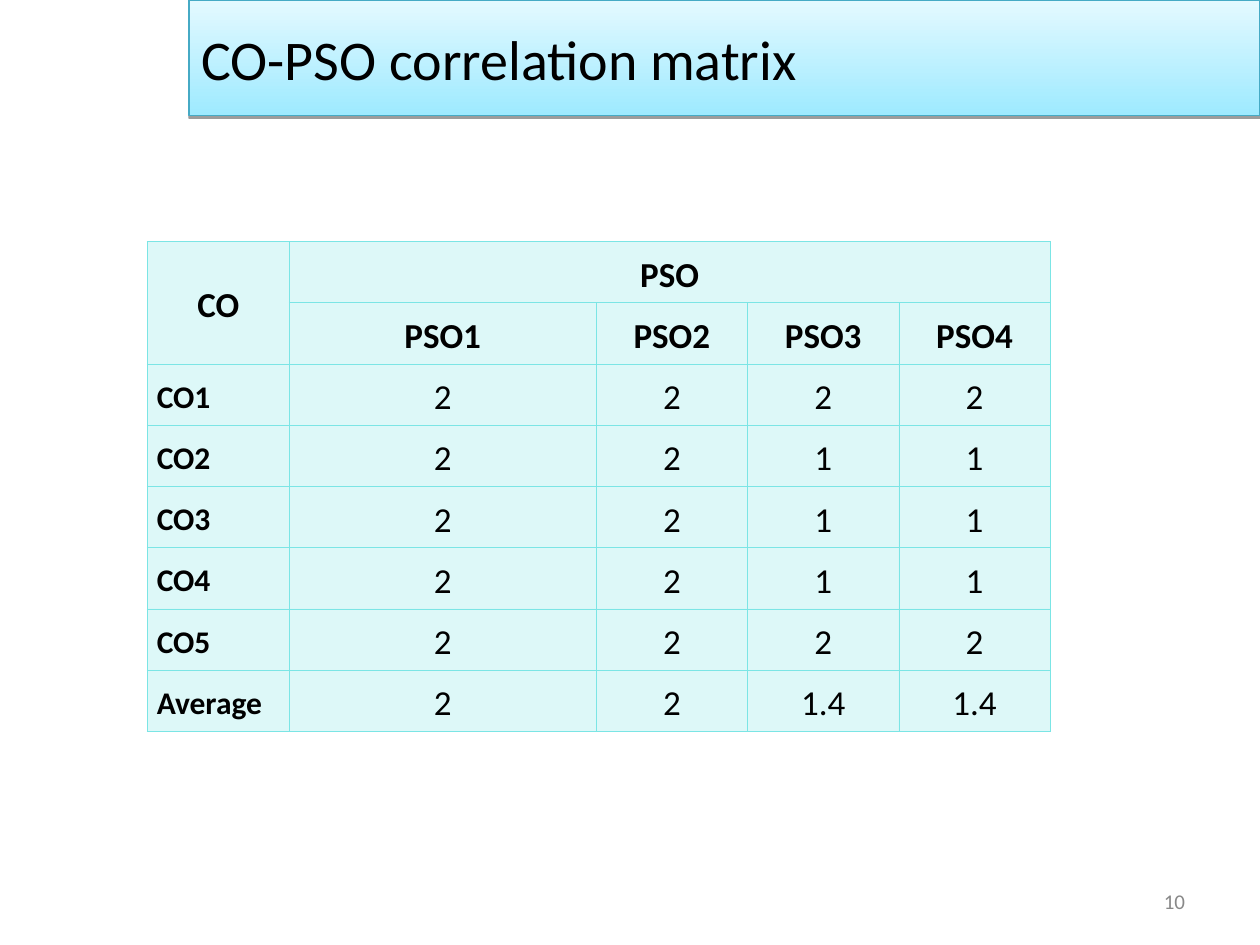
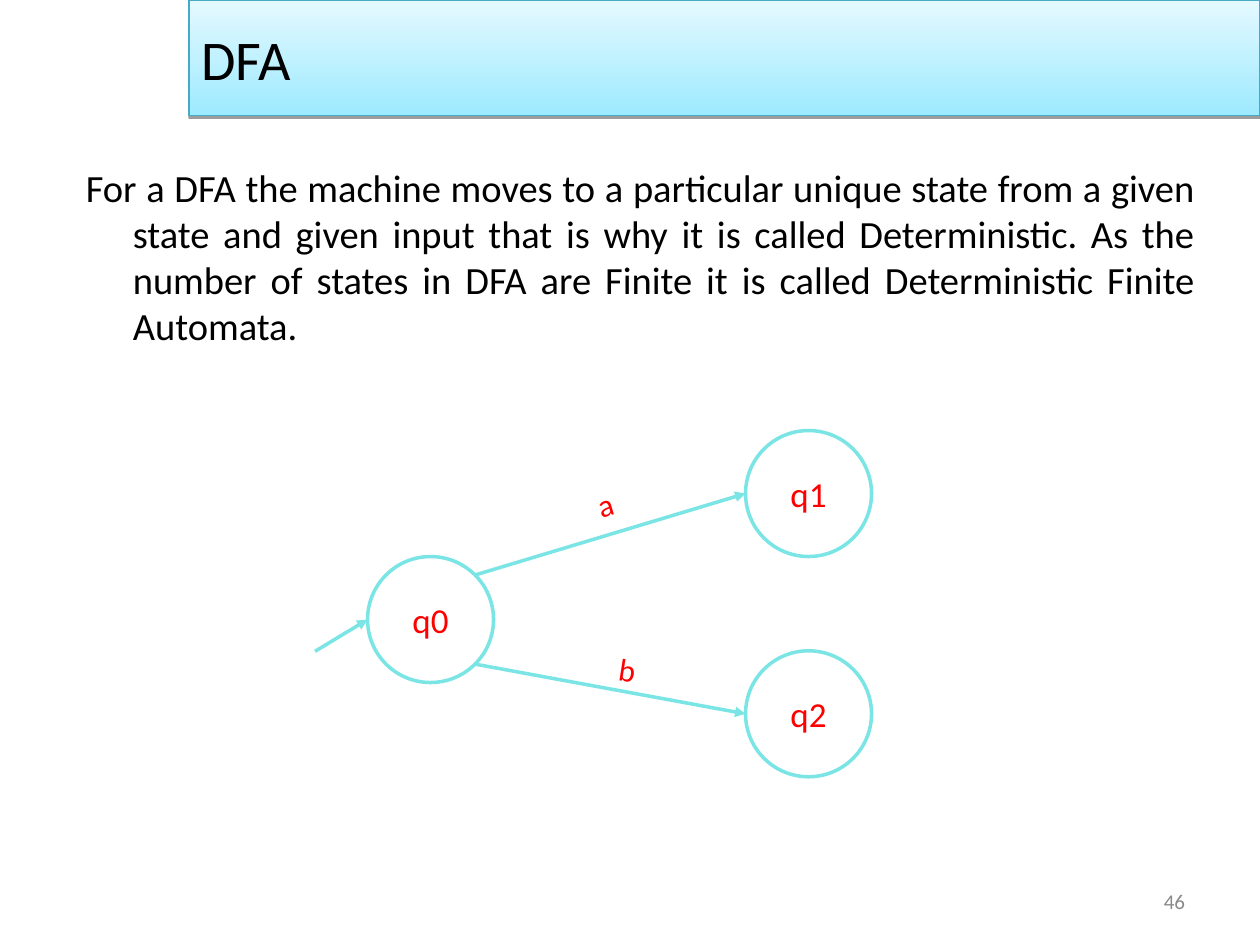
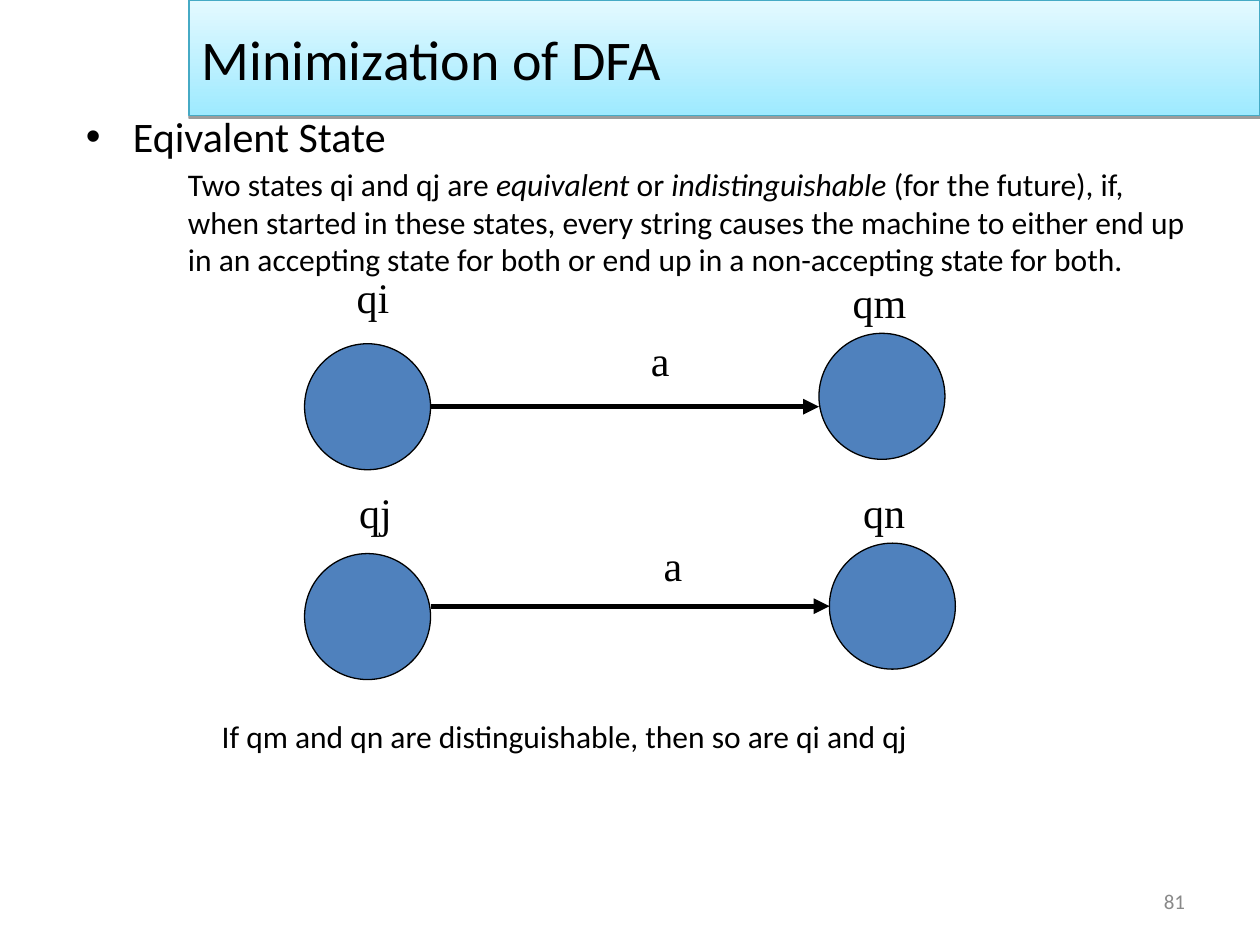
from dataclasses import dataclass
from math import sqrt

from lxml.etree import SubElement
from pptx import Presentation
from pptx.dml.color import RGBColor
from pptx.enum.shapes import MSO_CONNECTOR as Link, MSO_SHAPE as Preset
from pptx.enum.text import MSO_ANCHOR as Anchor, MSO_AUTO_SIZE as Fit, PP_ALIGN as Align
from pptx.oxml.ns import qn
from pptx.util import Cm, Pt


@dataclass(frozen=True)
class Theme:
    sans: str = "Calibri"
    serif: str = "Times New Roman"
    ink: str = "000000"
    muted: str = "898989"
    red: str = "FF0000"
    aqua: str = "7BE5E5"
    blue: str = "4F81BD"
    band_edge: str = "46AAC5"
    band_low: str = "9EEAFF"
    band_high: str = "E4F9FF"
    title: int = 32
    heading: int = 24
    body: int = 22
    cell: int = 20
    note: int = 18
    number: int = 12


THEME = Theme()
STATE_SIZE = 2.54
RADIUS = STATE_SIZE / 2


def add_xml(parent, tag, **attributes):
    return SubElement(parent, qn(tag), {key: str(value) for key, value in attributes.items()})


def write(frame, text, size=THEME.note, color=THEME.ink, font=THEME.sans, align=Align.LEFT,
          bold=False, spacing=None, hanging=0, bullet=None):
    para = frame.paragraphs[0]
    if hanging:
        layout = para._p.get_or_add_pPr()
        layout.set("marL", str(Cm(hanging)))
        layout.set("indent", str(-Cm(hanging)))
        if bullet:
            add_xml(add_xml(layout, "a:buClr"), "a:srgbClr", val=color)
            add_xml(layout, "a:buFont", typeface="Arial")
            add_xml(layout, "a:buChar", char=bullet)
    para.alignment = align
    if spacing:
        para.line_spacing = spacing
    spans = [(text, False)] if isinstance(text, str) else text
    for words, italic in spans:
        span = para.add_run()
        span.text = words
        span.font.name = font
        span.font.size = Pt(size)
        span.font.bold = bold
        span.font.italic = italic
        span.font.color.rgb = RGBColor.from_string(color)


class DeckBuilder:
    def __init__(self, theme):
        self.theme = theme
        self.deck = Presentation()
        self.deck.slide_width = Cm(25.4)
        self.deck.slide_height = Cm(19.05)
        self.page = None

    def new_page(self, title, number):
        self.page = self.deck.slides.add_slide(self.deck.slide_layouts[6])
        self.text(18.21, 17.65, 5.93, 1.02, str(number), anchor=Anchor.MIDDLE,
                  size=self.theme.number, color=self.theme.muted, align=Align.RIGHT)
        self.title_band(title)

    def title_band(self, title):
        band = self.shape(Preset.RECTANGLE, 3.81, 0, 21.59, 2.33, self.theme.band_edge, 0.75)
        band.fill.gradient()
        band.fill.gradient_angle = 90
        for stop, color in zip(band.fill.gradient_stops, (self.theme.band_low, self.theme.band_high)):
            stop.color.rgb = RGBColor.from_string(color)
        effects = band._element.spPr.find(qn("a:effectLst"))
        shadow = add_xml(effects, "a:outerShdw", blurRad=0, dist=Pt(1.6), dir=5400000, rotWithShape=0)
        add_xml(add_xml(shadow, "a:srgbClr", val=self.theme.ink), "a:alpha", val=38000)
        write(band.text_frame, title, size=self.theme.title)

    def shape(self, preset, left, top, width, height, edge, weight):
        shape = self.page.shapes.add_shape(preset, Cm(left), Cm(top), Cm(width), Cm(height))
        shape.shadow.inherit = False
        shape.fill.background()
        shape.line.color.rgb = RGBColor.from_string(edge)
        shape.line.width = Pt(weight)
        shape.text_frame.vertical_anchor = Anchor.MIDDLE
        return shape

    def state(self, center, edge, weight, fill=None, label=None):
        x, y = center
        circle = self.shape(Preset.OVAL, x - RADIUS, y - RADIUS, STATE_SIZE, STATE_SIZE, edge, weight)
        if fill:
            circle.fill.solid()
            circle.fill.fore_color.rgb = RGBColor.from_string(fill)
        if label:
            write(circle.text_frame, label, size=self.theme.cell, color=self.theme.red,
                  align=Align.CENTER)

    def arrow(self, start, end, color, weight):
        arrow = self.page.shapes.add_connector(Link.STRAIGHT, *map(Cm, start + end))
        arrow.line.color.rgb = RGBColor.from_string(color)
        arrow.line.width = Pt(weight)
        add_xml(arrow.line._get_or_add_ln(), "a:tailEnd", type="triangle")
        add_xml(arrow._element.spPr, "a:effectLst")

    def text(self, left, top, width, height, text, wrap=True, grow=False, turn=0,
             anchor=Anchor.TOP, **style):
        box = self.page.shapes.add_textbox(Cm(left), Cm(top), Cm(width), Cm(height))
        box.rotation = turn
        frame = box.text_frame
        frame.word_wrap = wrap
        frame.auto_size = Fit.SHAPE_TO_FIT_TEXT if grow else Fit.NONE
        frame.vertical_anchor = anchor
        write(frame, text, **style)

    def table(self, left, top, widths, row_height, rows, merges, header_rows):
        table = self.page.shapes.add_table(
            len(rows), len(widths), Cm(left), Cm(top),
            Cm(sum(widths)), Cm(row_height * len(rows))).table
        table.first_row = table.horz_banding = False
        for column, width in zip(table.columns, widths):
            column.width = Cm(width)
        for row in table.rows:
            row.height = Cm(row_height)
        for first, last in merges:
            table.cell(*first).merge(table.cell(*last))
        for r, values in enumerate(rows):
            for c, value in enumerate(values):
                cell = table.cell(r, c)
                self.dress_cell(cell)
                header, row_label = r < header_rows, c == 0
                cell.vertical_anchor = Anchor.MIDDLE if row_label else Anchor.TOP
                if value:
                    write(cell.text_frame, value, bold=header or row_label, spacing=1.15,
                          size=self.theme.note if row_label and not header else self.theme.cell,
                          align=Align.LEFT if row_label and not header else Align.CENTER)

    def dress_cell(self, cell):
        cell.margin_left = cell.margin_right = Cm(0.19)
        cell.margin_top = cell.margin_bottom = Cm(0.12)
        properties = cell._tc.get_or_add_tcPr()
        for side in ("a:lnL", "a:lnR", "a:lnT", "a:lnB"):
            border = add_xml(properties, side, w=Pt(0.45))
            add_xml(add_xml(border, "a:solidFill"), "a:srgbClr", val=self.theme.aqua)
        cell.fill.solid()
        cell.fill.fore_color.rgb = RGBColor.from_string(self.theme.aqua)
        tint = properties.find(qn("a:solidFill")).find(qn("a:srgbClr"))
        add_xml(tint, "a:alpha", val=25000)


def correlation_page(builder):
    builder.new_page("CO-PSO correlation matrix", 10)
    rows = [
        ("CO", "PSO", "", "", ""),
        ("", "PSO1", "PSO2", "PSO3", "PSO4"),
        ("CO1", "2", "2", "2", "2"),
        ("CO2", "2", "2", "1", "1"),
        ("CO3", "2", "2", "1", "1"),
        ("CO4", "2", "2", "1", "1"),
        ("CO5", "2", "2", "2", "2"),
        ("Average", "2", "2", "1.4", "1.4"),
    ]
    builder.table(2.97, 4.87, (2.86, 6.19, 3.05, 3.05, 3.05), 0.97, rows,
                  merges=[((0, 0), (1, 0)), ((0, 1), (0, 4))], header_rows=2)


def automaton_page(builder):
    theme = builder.theme
    builder.new_page("DFA", 46)
    builder.text(1.48, 3.18, 22.86, 13.55,
                 "For a DFA the machine moves to a particular unique state from a given state "
                 "and given input that is why it is called Deterministic. As the number of states "
                 "in DFA are Finite it is called Deterministic Finite Automata.",
                 size=theme.body, align=Align.JUSTIFY, hanging=0.95)
    centers = {"q0": (8.68, 12.49), "q1": (16.3, 9.95), "q2": (16.3, 14.39)}
    for label, center in centers.items():
        builder.state(center, theme.aqua, 2, label=label)
    x, y = centers["q0"]
    diagonal = RADIUS / sqrt(2)
    builder.arrow((6.35, 13.13), (x - RADIUS, y), theme.aqua, 2)
    for target, side in (("q1", -1), ("q2", 1)):
        end_x, end_y = centers[target]
        builder.arrow((x + diagonal, y + side * diagonal), (end_x - RADIUS, end_y), theme.aqua, 2)
    for symbol, left, top, turn in (("a", 11.76, 9.42, 343.4), ("b", 12.22, 13.11, 8.9)):
        builder.text(left, top, 2.54, 1.02, symbol, grow=True, turn=turn, color=theme.red)


def minimization_page(builder):
    theme = builder.theme
    builder.new_page("Minimization of DFA", 81)
    builder.text(1.48, 2.11, 20.37, 1.4, "Eqivalent State", size=theme.heading,
                 align=Align.JUSTIFY, hanging=0.95, bullet="•")
    transitions = [
        ((7.41, 8.2), (17.78, 7.99), 8.2),
        ((7.41, 12.43), (17.99, 12.22), 12.22),
    ]
    for source, target, level in transitions:
        for center in (source, target):
            builder.state(center, theme.ink, 0.75, fill=theme.blue)
        builder.arrow((source[0] + RADIUS, level), (target[0] - RADIUS, level), theme.ink, 3)
    labels = [
        ("qi", 6.94, 5.35, 1.25), ("qm", 16.94, 5.44, 1.7), ("a", 12.87, 6.62, 0.95),
        ("qj", 6.99, 9.68, 1.25), ("qn", 17.15, 9.68, 1.45), ("a", 13.13, 10.75, 0.95),
    ]
    for label, left, top, width in labels:
        builder.text(left, top, width, 1.27, label, wrap=False, grow=True,
                     size=theme.heading, font=theme.serif)
    builder.text(4.22, 14.33, 14.35, 1.02,
                 "If qm and qn are distinguishable, then so are qi and qj", wrap=False, grow=True)
    builder.text(3.54, 3.2, 20.85, 2.54, [
        ("Two states qi and qj are ", False), ("equivalent", True), (" or ", False),
        ("indistinguishable ", True),
        ("(for the future), if, when started in these states, every string causes the machine "
         "to either end up in an accepting state for both or end up in a non-accepting state "
         "for both.", False)], grow=True)


def main():
    builder = DeckBuilder(THEME)
    correlation_page(builder)
    automaton_page(builder)
    minimization_page(builder)
    builder.deck.save("out.pptx")


if __name__ == "__main__":
    main()
